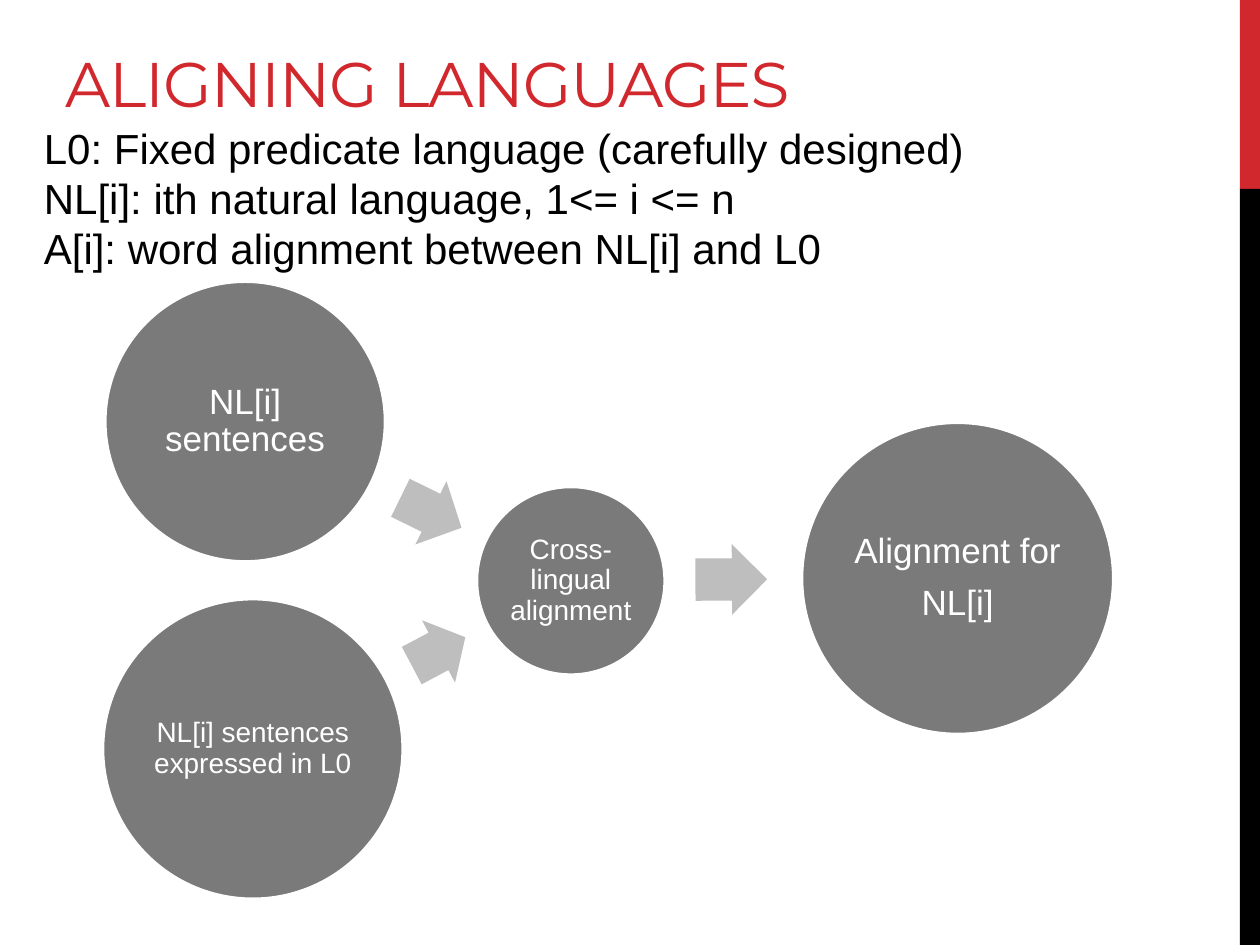
from pptx import Presentation
from pptx.dml.color import RGBColor
from pptx.enum.shapes import MSO_SHAPE
from pptx.enum.text import MSO_ANCHOR, MSO_AUTO_SIZE, PP_ALIGN
from pptx.util import Pt


def color(code):
    return RGBColor.from_string(code)


class Deck:
    red, black, white = "D1282E", "000000", "FFFFFF"
    disc, pale = "7A7A7A", "BEBEBE"
    head, body = "Montserrat", "Arial"

    def __init__(self, slide):
        self.slide = slide

    def format(self, par, size, code, font):
        for run in par.runs:
            run.font.size = Pt(size)
            run.font.name = font
            run.font.color.rgb = color(code)

    def title(self, text, x, y, w, h):
        box = self.slide.shapes.title
        box.left, box.top, box.width, box.height = Pt(x), Pt(y), Pt(w), Pt(h)
        frame = box.text_frame
        frame.text = text
        frame.auto_size = MSO_AUTO_SIZE.NONE
        frame.vertical_anchor = MSO_ANCHOR.BOTTOM
        par = frame.paragraphs[0]
        par.alignment = PP_ALIGN.LEFT
        self.format(par, 36, self.red, self.head)
        par.runs[0].font._element.set("spc", "-60")

    def text(self, lines, x, y, w, h):
        box = self.slide.shapes.add_textbox(Pt(x), Pt(y), Pt(w), Pt(h))
        frame = box.text_frame
        frame.word_wrap = True
        frame.text = "\n".join(lines)
        for par in frame.paragraphs:
            self.format(par, 24, self.black, self.body)

    def shape(self, kind, x, y, w, h, fill):
        item = self.slide.shapes.add_shape(kind, Pt(x), Pt(y), Pt(w), Pt(h))
        item.shadow.inherit = False
        item.fill.solid()
        item.fill.fore_color.rgb = color(fill)
        item.line.fill.background()
        return item

    def bar(self, y, h, fill):
        self.shape(MSO_SHAPE.RECTANGLE, 708.5, y, 11.5, h, fill)

    def circle(self, text, x, y, size, font):
        item = self.shape(MSO_SHAPE.OVAL, x, y, size, size, self.disc)
        item.line.color.rgb = color(self.white)
        item.line.width = Pt(2.25)
        frame = item.text_frame
        frame.word_wrap = True
        frame.vertical_anchor = MSO_ANCHOR.MIDDLE
        frame.margin_left = frame.margin_right = Pt(2)
        frame.margin_top = frame.margin_bottom = Pt(2)
        frame.text = text
        for i, par in enumerate(frame.paragraphs):
            par.alignment = PP_ALIGN.CENTER
            par.line_spacing = 0.9
            par.space_before = Pt(8 if i else 0)
            self.format(par, font, self.white, self.body)

    def arrow(self, x, y, w, turn):
        item = self.shape(MSO_SHAPE.RIGHT_ARROW, x, y, w, 40.3, self.pale)
        item.adjustments[0] = 0.6
        item.adjustments[1] = 0.5
        item.rotation = turn


def main():
    show = Presentation()
    show.slide_width, show.slide_height = Pt(720), Pt(540)
    deck = Deck(show.slides.add_slide(show.slide_layouts[5]))

    deck.bar(0, 108, deck.red)
    deck.bar(108, 432, deck.black)
    deck.title("ALIGNING LANGUAGES", 30, -36, 504, 108)
    deck.text([
        "L0: Fixed predicate language (carefully designed)",
        "NL[i]: ith natural language, 1<= i <= n",
        "A[i]: word alignment between NL[i] and L0",
    ], 18, 66.2, 672, 94.3)

    for item in [
        ("Cross-lingual alignment", 272.2, 277.9, 108, 16),
        ("Alignment for\nNL[i]", 457.9, 241.2, 178.6, 20),
        ("NL[i] sentences expressed in L0", 58.5, 342, 172, 16),
        ("NL[i] sentences", 59.8, 160.6, 160.6, 20),
    ]:
        deck.circle(*item)

    for item in [
        (397.4, 311, 41, 359.7),
        (233.3, 352.1, 34.6, 332.1),
        (226.8, 272.9, 38.9, 26.1),
    ]:
        deck.arrow(*item)

    show.save("out.pptx")


if __name__ == "__main__":
    main()
